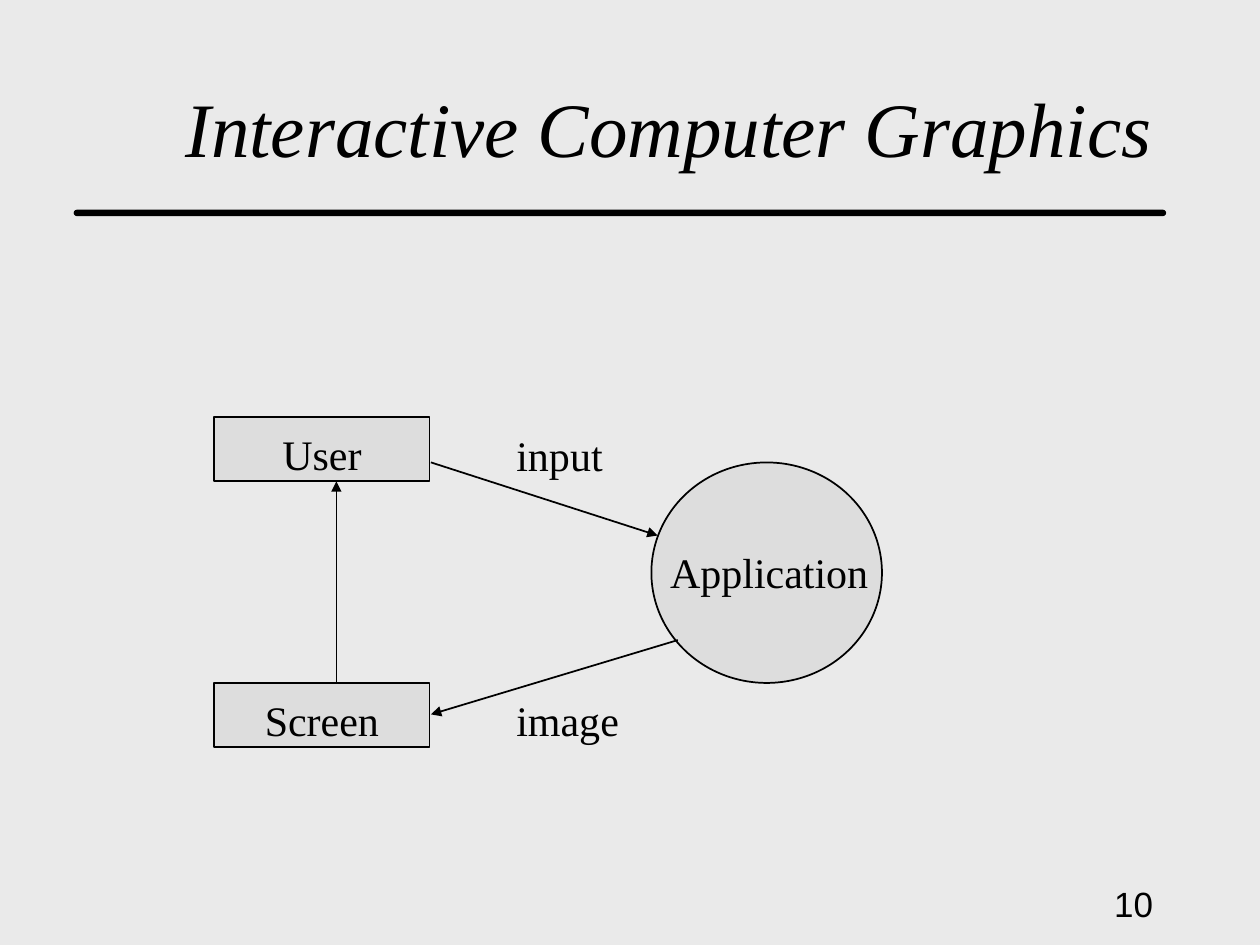
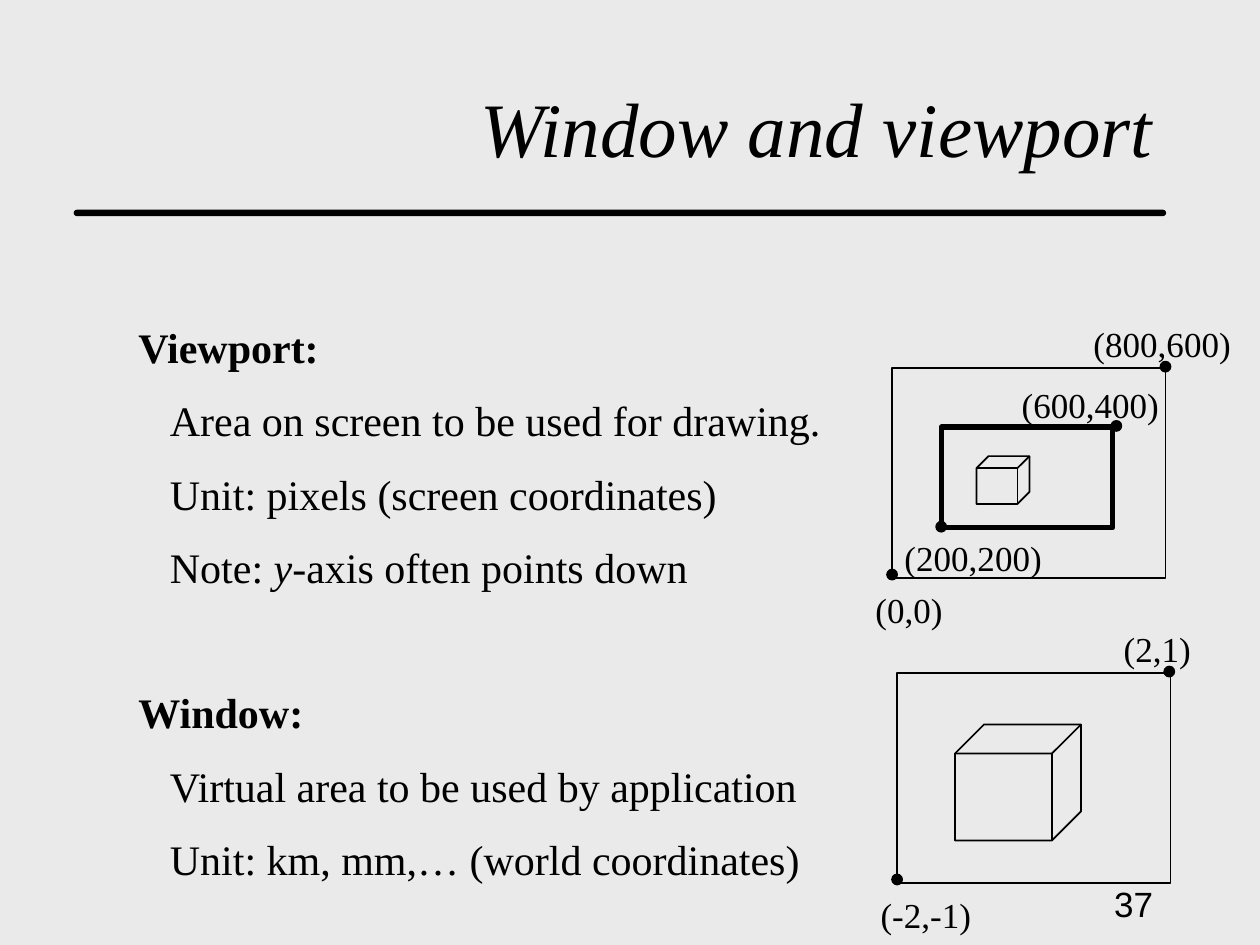
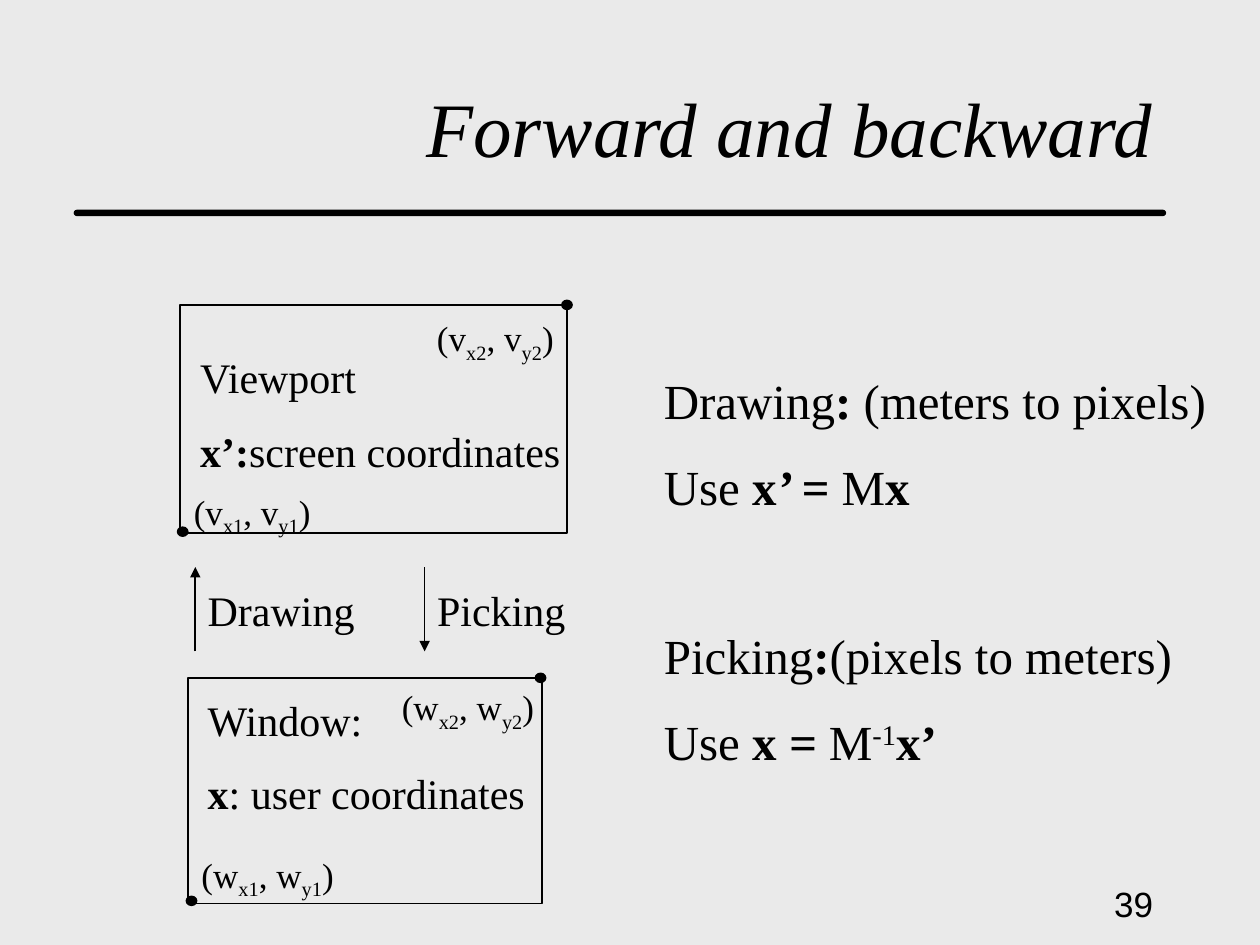
from lxml import etree
from pptx import Presentation
from pptx.dml.color import RGBColor
from pptx.enum import shapes, text
from pptx.oxml.ns import qn
from pptx.util import Inches, Pt

INK, PAPER, GREY = "000000", "EAEAEA", "DDDDDD"
SERIF, SANS = "Times New Roman", "Arial"
KIND = shapes.MSO_SHAPE
LEFT, MID, RIGHT = text.PP_ALIGN.LEFT, text.PP_ALIGN.CENTER, text.PP_ALIGN.RIGHT
TOP, CENTER, LOW = (text.MSO_ANCHOR.TOP, text.MSO_ANCHOR.MIDDLE,
                    text.MSO_ANCHOR.BOTTOM)


def paint(fill, color):
    """Fill with a hex colour, or leave clear when there is none."""
    if color:
        fill.solid()
        fill.fore_color.rgb = RGBColor.from_string(color)
    else:
        fill.background()


def write(shape, paras, size=24, font=SERIF, italic=False, align=LEFT,
          anchor=TOP, wrap=False, top=0.09, indent=(), gaps=()):
    """Each paragraph is a string or a list of strings and (string, flags).

    Flags: b bold, i italic, + raised, - lowered. The indent and gaps
    collections hold the numbers of paragraphs set in or set apart.
    """
    frame = shape.text_frame
    frame.word_wrap = wrap
    frame.auto_size = text.MSO_AUTO_SIZE.NONE
    frame.vertical_anchor = anchor
    frame.margin_left = frame.margin_right = Inches(0.1)
    frame.margin_top, frame.margin_bottom = Inches(top), Inches(0.05)
    for n, runs in enumerate(paras):
        para = frame.add_paragraph() if n else frame.paragraphs[0]
        para.alignment = align
        if n in indent:
            para._p.get_or_add_pPr().set("marL", str(Inches(0.25)))
        if n:
            para.space_before = Pt(size * (2.25 if n in gaps else 0.55))
        for item in [runs] if isinstance(runs, str) else runs:
            words, flags = (item, "") if isinstance(item, str) else item
            run = para.add_run()
            run.text = words
            face = run.font
            face.name, face.size = font, Pt(size)
            face.bold, face.italic = "b" in flags, italic or "i" in flags
            face.color.rgb = RGBColor.from_string(INK)
            for mark, shift in (("+", "30000"), ("-", "-25000")):
                if mark in flags:
                    run._r.get_or_add_rPr().set("baseline", shift)


def label(slide, at, *paras, **form):
    write(slide.shapes.add_textbox(*map(Inches, at)), paras, **form)


def draw(slide, kind, at, fill=None, width=1):
    shape = slide.shapes.add_shape(kind, *map(Inches, at))
    shape.shadow.inherit = False
    paint(shape.fill, fill)
    paint(shape.line.fill, INK)
    shape.line.width = Pt(width)
    return shape


def box(slide, at, name):
    write(draw(slide, KIND.RECTANGLE, at, GREY), [name], align=MID)


def dots(slide, *spots, w=0.08, h=0.08):
    """Mark points, each given by its centre."""
    for x, y in spots:
        draw(slide, KIND.OVAL, (x - w / 2, y - h / 2, w, h), INK)


def arrow(slide, *ends):
    line = slide.shapes.add_connector(shapes.MSO_CONNECTOR.STRAIGHT,
                                      *map(Inches, ends))
    paint(line.line.fill, INK)
    line.line.width = Pt(1)
    etree.SubElement(line.line._get_or_add_ln(), qn("a:tailEnd"),
                     type="triangle")
    etree.SubElement(line._element.spPr, qn("a:effectLst"))


def start(deck, title, number):
    """Add a slide with its title, rule and page number."""
    slide = deck.slides.add_slide(deck.slide_layouts[5])
    rule = draw(slide, KIND.ROUNDED_RECTANGLE, (0.59, 1.67, 8.66, 0.04),
                INK, 0.75)
    rule.adjustments[0] = 0.5
    label(slide, (7.17, 6.92, 2.08, 0.5), str(number), size=20, font=SANS,
          align=RIGHT, anchor=CENTER, wrap=True, top=0.05)
    head = slide.shapes.title
    head.left, head.top = Inches(0.75), Inches(0.42)
    head.width, head.height = Inches(8.5), Inches(1)
    write(head, [title], size=44, italic=True, align=RIGHT, anchor=LOW,
          wrap=True, top=0.05)
    return slide


def graphics(deck):
    slide = start(deck, "Interactive Computer Graphics", 10)
    draw(slide, KIND.OVAL, (5.17, 3.67, 1.83, 1.75), GREY)
    label(slide, (5.22, 4.25, 1.87, 0.5), "Application", wrap=True)
    for y, name in ((3.31, "User"), (5.42, "Screen")):
        box(slide, (1.7, y, 1.71, 0.51), name)
    for y, name in ((3.32, "input"), (5.42, "image")):
        label(slide, (4, y, 1.17, 0.5), name, wrap=True)
    arrow(slide, 3.42, 3.67, 5.22, 4.25)
    arrow(slide, 5.38, 5.08, 3.42, 5.67)
    arrow(slide, 2.67, 5.42, 2.67, 3.82)


def window(deck):
    slide = start(deck, "Window and viewport", 37)
    label(slide, (1, 2.46, 5.61, 4.69),
          [("Viewport:", "b")],
          "Area on screen to be used for drawing.",
          "Unit: pixels (screen coordinates)",
          ["Note: ", ("y", "i"), "-axis often points down"],
          [("Window:", "b")],
          "Virtual area to be used by application",
          "Unit: km, mm,… (world coordinates)",
          indent=(1, 2, 3, 5, 6), gaps=(4,))
    for x, y in ((7.08, 2.92), (7.12, 5.34)):
        draw(slide, KIND.RECTANGLE, (x, y, 2.17, 1.67))
    draw(slide, KIND.RECTANGLE, (7.47, 3.39, 1.36, 0.8), width=3)
    for x, y, w, point in ((6.85, 4.58, 0.73, "(0,0)"),
                           (8.58, 2.47, 1.29, "(800,600)"),
                           (7.08, 4.17, 1.29, "(200,200)"),
                           (8.01, 2.95, 1.29, "(600,400)"),
                           (6.89, 7, 0.92, "(-2,-1)"),
                           (8.82, 4.89, 0.73, "(2,1)")):
        label(slide, (x, y, w, 0.43), point, size=20)
    dots(slide, (7.08, 4.56), (7.47, 4.18), (8.86, 3.38), (9.25, 2.91),
         (7.12, 6.98), (9.28, 5.33))
    for at in ((7.58, 5.75, 1, 0.92), (7.75, 3.62, 0.42, 0.38)):
        draw(slide, KIND.CUBE, at)


def mapping(deck):
    slide = start(deck, "Forward and backward", 39)
    label(slide, (5.17, 2.85, 4.51, 3.37),
          ["Drawing", (": ", "b"), "(meters to pixels)"],
          ["Use ", ("x", "b"), ("’ = ", "bi"), "M", ("x", "b")],
          ["Picking", (":", "b"), "(pixels to meters)"],
          ["Use ", ("x", "b"), (" = ", "bi"), "M", ("-1", "+"), ("x’", "b")],
          size=28, gaps=(2,))
    draw(slide, KIND.RECTANGLE, (1.43, 2.42, 3.07, 1.81))
    draw(slide, KIND.RECTANGLE, (1.49, 5.38, 2.81, 1.79))
    label(slide, (1.49, 2.7, 3.06, 1.1),
          "Viewport", [("x’:", "b"), "screen coordinates"])
    label(slide, (1.55, 5.42, 2.72, 1.1),
          "Window:", [("x", "b"), ": user coordinates"])
    for x, y, w, name, n in ((1.44, 3.8, 1.16, "v", 1),
                             (3.37, 2.42, 1.16, "v", 2),
                             (1.5, 6.68, 1.29, "w", 1),
                             (3.09, 5.35, 1.29, "w", 2)):
        label(slide, (x, y, w, 0.43),
              [f"({name}", (f"x{n}", "-"), f", {name}", (f"y{n}", "-"), ")"],
              size=20)
    dots(slide, (4.5, 2.42), (1.45, 4.22), (4.29, 5.38), (1.52, 7.15),
         h=0.07)
    arrow(slide, 1.55, 5.17, 1.55, 4.5)
    arrow(slide, 3.37, 4.5, 3.37, 5.17)
    label(slide, (1.55, 4.55, 1.37, 0.5), "Drawing")
    label(slide, (3.37, 4.55, 1.22, 0.5), "Picking")


def main():
    deck = Presentation()
    deck.slide_width, deck.slide_height = Inches(10), Inches(7.5)
    paint(deck.slide_master.background.fill, PAPER)
    graphics(deck)
    window(deck)
    mapping(deck)
    deck.save("out.pptx")


if __name__ == "__main__":
    main()
